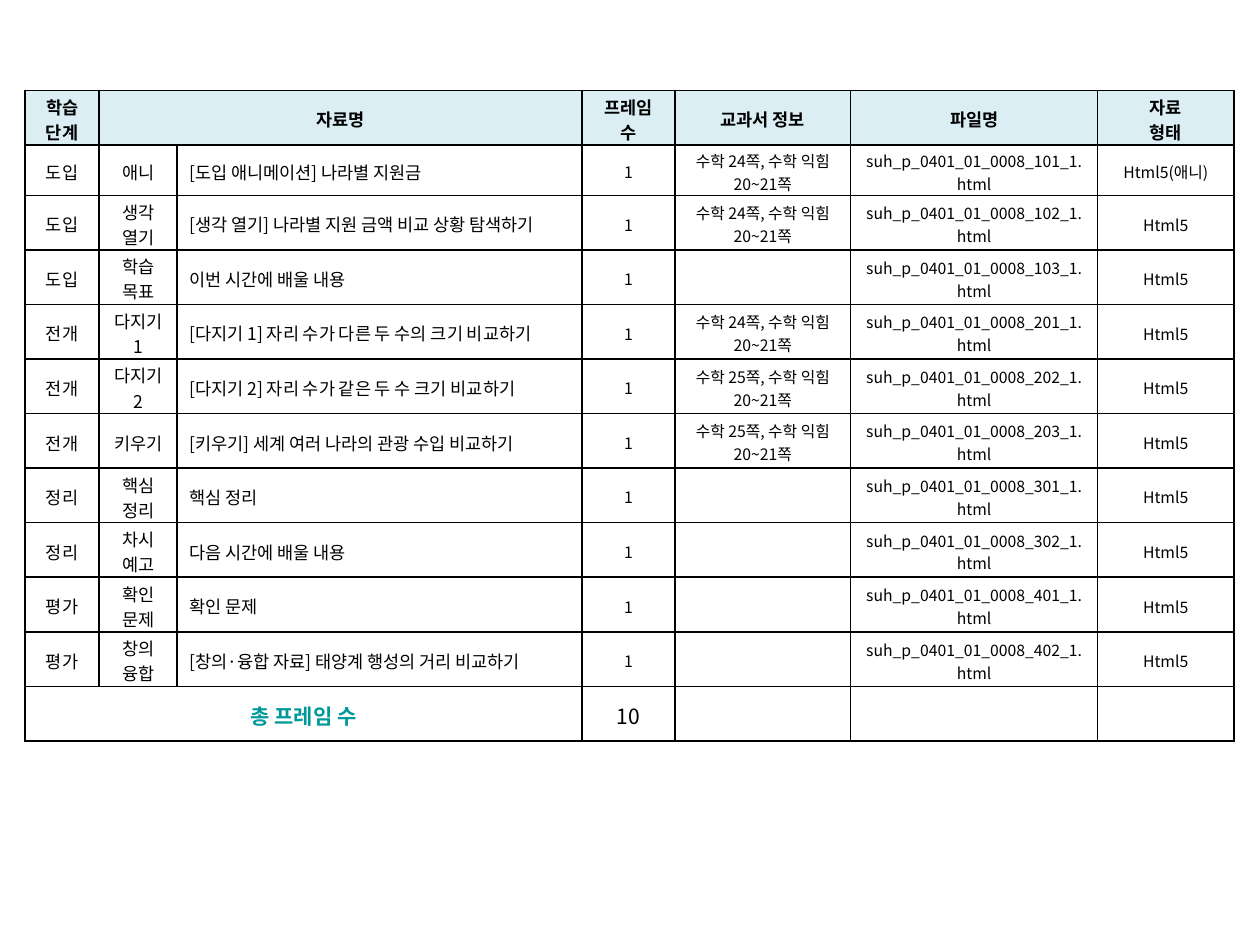
from lxml import etree
from pptx import Presentation
from pptx.dml.color import RGBColor
from pptx.enum import text
from pptx.oxml.ns import qn
from pptx.util import Pt

FONT = "Noto Sans CJK KR"
BLACK = RGBColor(0x00, 0x00, 0x00)
TEAL = RGBColor(0x00, 0x99, 0x99)
PALE_BLUE = RGBColor(0xDB, 0xEE, 0xF4)

HEADER = ["학습 단계", "자료명", "", "프레임 수", "교과서 정보", "파일명", "자료\n형태"]
# stage, activity, material, textbook page, file number
LESSONS = [
    ("도입", "애니", "[도입 애니메이션] 나라별 지원금", 24, 101),
    ("도입", "생각 열기", "[생각 열기] 나라별 지원 금액 비교 상황 탐색하기", 24, 102),
    ("도입", "학습 목표", "이번 시간에 배울 내용", None, 103),
    ("전개", "다지기 1", "[다지기 1] 자리 수가 다른 두 수의 크기 비교하기", 24, 201),
    ("전개", "다지기 2", "[다지기 2] 자리 수가 같은 두 수 크기 비교하기", 25, 202),
    ("전개", "키우기", "[키우기] 세계 여러 나라의 관광 수입 비교하기", 25, 203),
    ("정리", "핵심 정리", "핵심 정리", None, 301),
    ("정리", "차시 예고", "다음 시간에 배울 내용", None, 302),
    ("평가", "확인 문제", "확인 문제", None, 401),
    ("평가", "창의\n융합", "[창의·융합 자료] 태양계 행성의 거리 비교하기", None, 402),
]
COL_WIDTHS = [42.5, 44.5, 231.5, 53, 100.5, 141, 78]
ROW_HEIGHTS = [31.2, 28.8] + [31.2] * 10
CELL_FORMAT = {
    "vertical_anchor": text.MSO_ANCHOR.MIDDLE,
    "margin_left": Pt(7.2), "margin_right": Pt(7.2),
    "margin_top": Pt(2), "margin_bottom": Pt(0),
}


def add_borders(cell):
    tcPr = cell._tc.get_or_add_tcPr()
    for i, side in enumerate(("lnL", "lnR", "lnT", "lnB")):
        ln = etree.Element(qn(f"a:{side}"), w=str(Pt(1)))
        fill = etree.SubElement(ln, qn("a:solidFill"))
        etree.SubElement(fill, qn("a:srgbClr"), val=str(BLACK))
        tcPr.insert(i, ln)


# Rows of text
rows = [HEADER]
for stage, activity, material, page, number in LESSONS:
    book = f"수학 {page}쪽, 수학 익힘 20~21쪽" if page else ""
    kind = "Html5(애니)" if activity == "애니" else "Html5"
    rows.append([stage, activity, material, "1", book,
                 f"suh_p_0401_01_0008_{number}_1.html", kind])
rows.append(["총 프레임 수", "", "", str(len(LESSONS)), "", "", ""])
last = len(rows) - 1

# Slide
prs = Presentation()
prs.slide_width, prs.slide_height = Pt(720), Pt(540)
s = prs.slides.add_slide(prs.slide_layouts[6])

# Table frame
frame = s.shapes.add_table(len(rows), len(COL_WIDTHS), Pt(14.2), Pt(51.6),
                           Pt(sum(COL_WIDTHS)), Pt(sum(ROW_HEIGHTS)))
table = frame.table
table.first_row = table.horz_banding = False
for column, width in zip(table.columns, COL_WIDTHS):
    column.width = Pt(width)
for row, height in zip(table.rows, ROW_HEIGHTS):
    row.height = Pt(height)

# Cells
for r, values in enumerate(rows):
    for c, value in enumerate(values):
        cell = table.cell(r, c)
        for name, setting in CELL_FORMAT.items():
            setattr(cell, name, setting)
        if r == 0:
            cell.fill.solid()
            cell.fill.fore_color.rgb = PALE_BLUE
        else:
            cell.fill.background()
        add_borders(cell)
        if not value:
            continue

        size = 12 if r == last else 10 if r == 0 or c < 3 else 9
        is_total = r == last and c == 0
        font_format = {"name": FONT, "size": Pt(size), "bold": r == 0 or is_total}
        is_material = c == 2 and 0 < r < last
        cell.text = value
        for p in cell.text_frame.paragraphs:
            p.alignment = text.PP_ALIGN.LEFT if is_material else text.PP_ALIGN.CENTER
            for run in p.runs:
                for name, setting in font_format.items():
                    setattr(run.font, name, setting)
                run.font.color.rgb = TEAL if is_total else BLACK
                etree.SubElement(run._r.get_or_add_rPr(), qn("a:ea"), typeface=FONT)

# Merged cells
table.cell(0, 1).merge(table.cell(0, 2))
table.cell(last, 0).merge(table.cell(last, 2))

prs.save("out.pptx")
